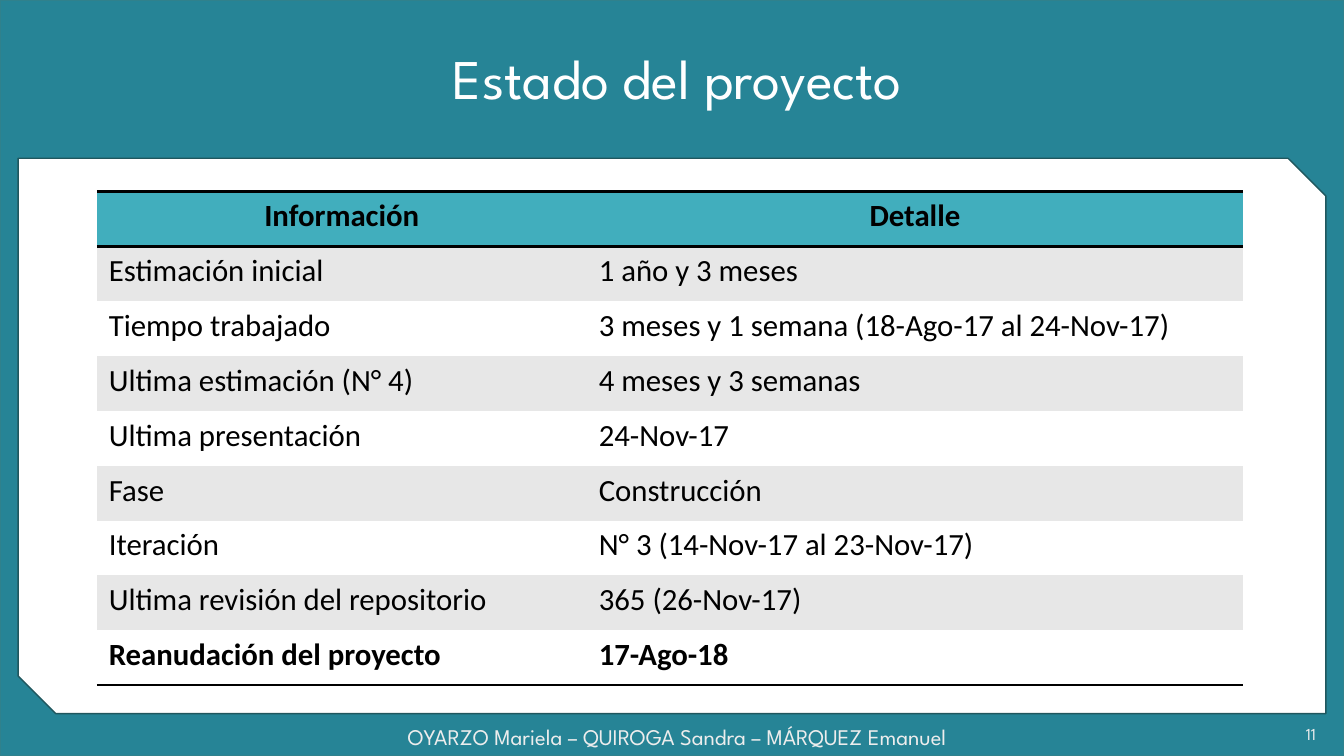
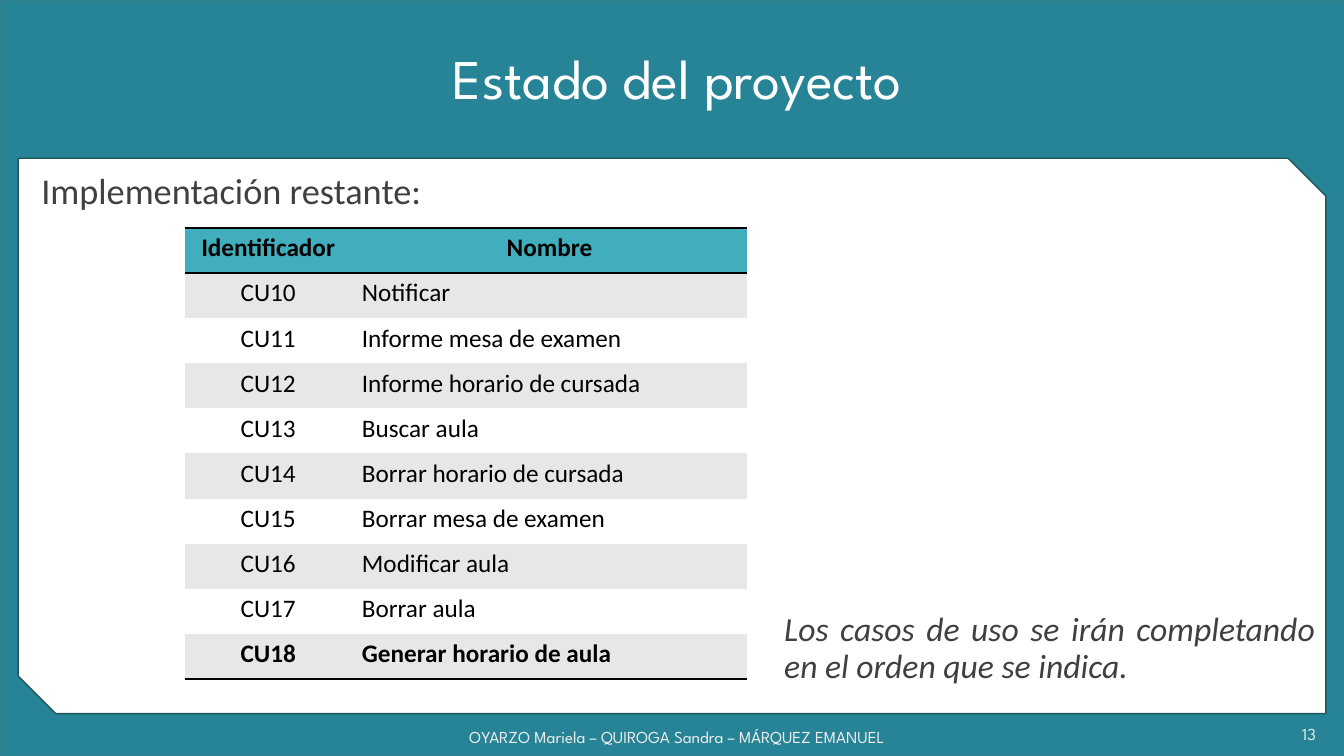
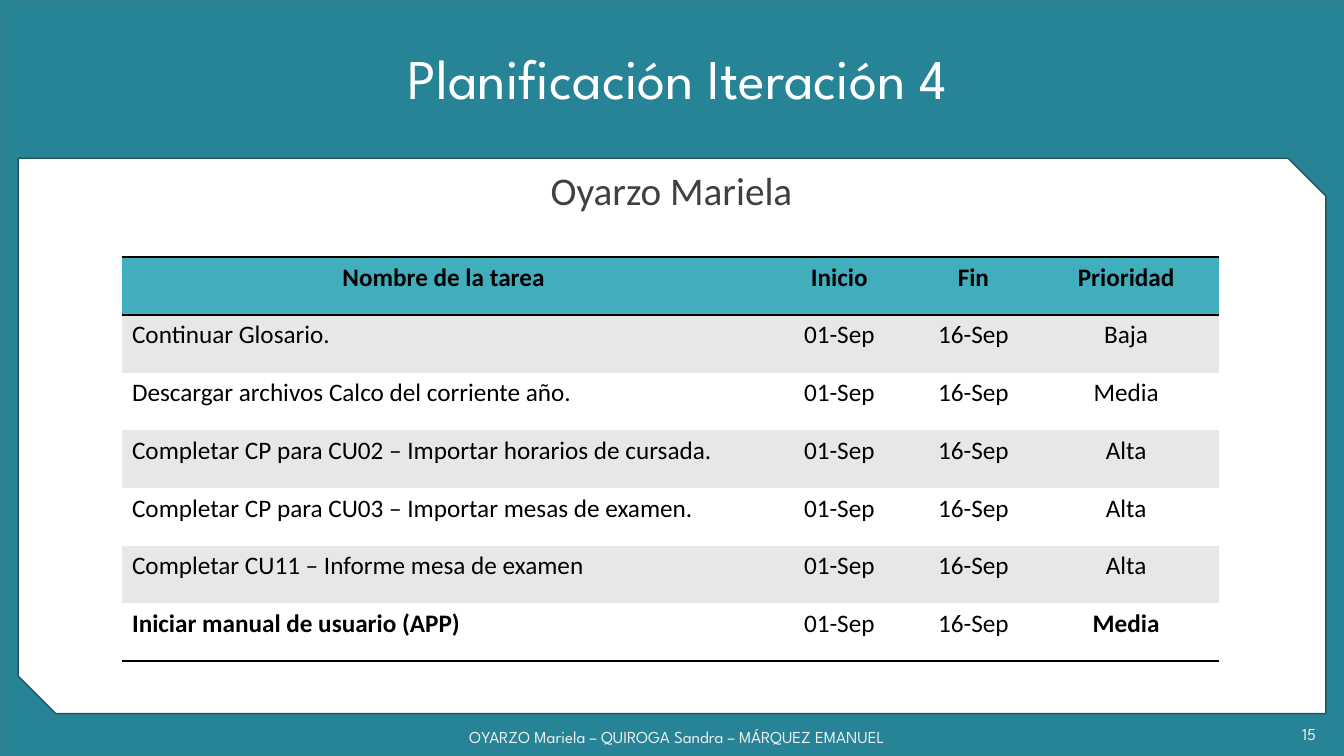
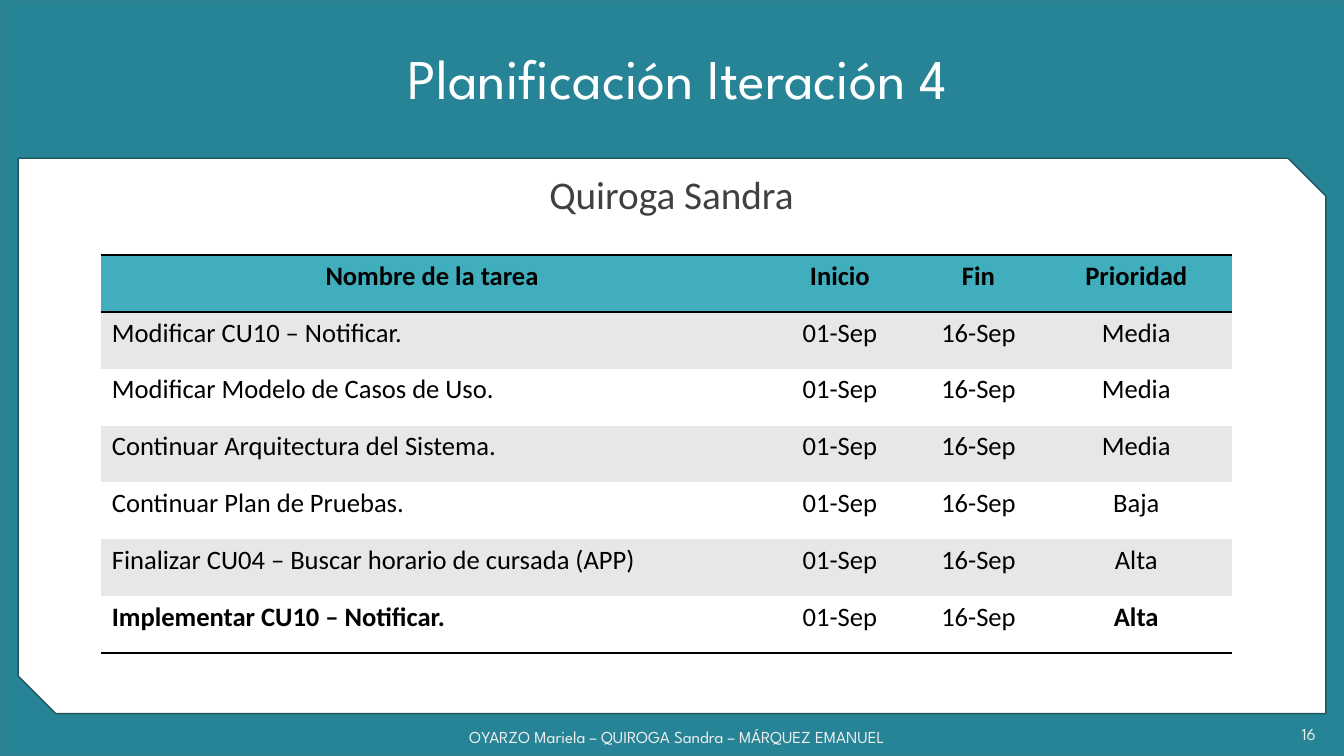
from lxml import etree
from pptx import Presentation
from pptx.dml.color import RGBColor
from pptx.enum.shapes import MSO_SHAPE
from pptx.enum.text import MSO_ANCHOR, MSO_AUTO_SIZE, PP_ALIGN
from pptx.oxml.ns import qn
from pptx.util import Inches, Pt

RECTANGLE = MSO_SHAPE.RECTANGLE
SNIPPED = MSO_SHAPE.SNIP_2_DIAG_RECTANGLE
TOP, MIDDLE = MSO_ANCHOR.TOP, MSO_ANCHOR.MIDDLE
NO_FIT = MSO_AUTO_SIZE.NONE
LEFT, CENTER = PP_ALIGN.LEFT, PP_ALIGN.CENTER
RIGHT, JUSTIFY = PP_ALIGN.RIGHT, PP_ALIGN.JUSTIFY
COLUMN_ALIGN = {"l": LEFT, "c": CENTER}

TEAL = RGBColor(0x26, 0x84, 0x96)
TEAL_EDGE = RGBColor(0x30, 0x81, 0x8C)
PANEL_EDGE = RGBColor(0x20, 0x57, 0x5E)
HEADER_TEAL = RGBColor(0x41, 0xAE, 0xBD)
BAND_GRAY = RGBColor(0xE7, 0xE7, 0xE7)
FOOTER_GRAY = RGBColor(0xED, 0xED, 0xED)
TEXT_GRAY = RGBColor(0x40, 0x40, 0x40)
WHITE = RGBColor(0xFF, 0xFF, 0xFF)
BLACK = RGBColor(0, 0, 0)

HEADING_FONT = "League Spartan"
BODY_FONT = "Calibri"
PLAIN_TABLE_STYLE = "{2D5ABB26-0587-4C30-8999-92F81FD0307C}"

STATUS_TITLE = "Estado del proyecto"
PLAN_TITLE = "Planificación Iteración 4"
AUTHORS = "OYARZO Mariela – QUIROGA Sandra – MÁRQUEZ EMANUEL"
DATES = ("01-Sep", "16-Sep")

STATUS_ROWS = [
    ("Información", "Detalle"),
    ("Estimación inicial", "1 año y 3 meses"),
    ("Tiempo trabajado", "3 meses y 1 semana (18-Ago-17 al 24-Nov-17)"),
    ("Ultima estimación (N° 4)", "4 meses y 3 semanas"),
    ("Ultima presentación", "24-Nov-17"),
    ("Fase", "Construcción"),
    ("Iteración", "N° 3 (14-Nov-17 al 23-Nov-17)"),
    ("Ultima revisión del repositorio", "365 (26-Nov-17)"),
    ("Reanudación del proyecto", "17-Ago-18"),
]
USE_CASE_ROWS = [
    ("Identificador", "Nombre"),
    ("CU10", "Notificar"),
    ("CU11", "Informe mesa de examen"),
    ("CU12", "Informe horario de cursada"),
    ("CU13", "Buscar aula"),
    ("CU14", "Borrar horario de cursada"),
    ("CU15", "Borrar mesa de examen"),
    ("CU16", "Modificar aula"),
    ("CU17", "Borrar aula"),
    ("CU18", "Generar horario de aula"),
]
MARIELA_TASKS = [
    ("Continuar Glosario.", "Baja"),
    ("Descargar archivos Calco del corriente año.", "Media"),
    ("Completar CP para CU02 – Importar horarios de cursada.", "Alta"),
    ("Completar CP para CU03 – Importar mesas de examen.", "Alta"),
    ("Completar CU11 – Informe mesa de examen", "Alta"),
    ("Iniciar manual de usuario (APP)", "Media"),
]
SANDRA_TASKS = [
    ("Modificar CU10 – Notificar.", "Media"),
    ("Modificar Modelo de Casos de Uso.", "Media"),
    ("Continuar Arquitectura del Sistema.", "Media"),
    ("Continuar Plan de Pruebas.", "Baja"),
    ("Finalizar CU04 – Buscar horario de cursada (APP)", "Alta"),
    ("Implementar CU10 – Notificar.", "Alta"),
]


def place(shape, left, top, width, height):
    shape.left, shape.top = Inches(left), Inches(top)
    shape.width, shape.height = Inches(width), Inches(height)


def write(frame, text, size, color, align, font=BODY_FONT, bold=False, italic=False):
    """Fill the first paragraph with one formatted run and return the paragraph."""
    para = frame.paragraphs[0]
    para.alignment = align
    span = para.add_run()
    span.text = text
    span.font.size = Pt(size)
    span.font.name = font
    span.font.color.rgb = color
    span.font.bold = bold
    span.font.italic = italic
    return para


def space(para, before, after=0):
    para.line_spacing = 0.9
    para.space_before, para.space_after = Pt(before), Pt(after)


def add_text(page, at, text, size, color, align, anchor=TOP, **style):
    box = page.shapes.add_textbox(*map(Inches, at))
    box.text_frame.word_wrap = True
    box.text_frame.vertical_anchor = anchor
    return write(box.text_frame, text, size, color, align, **style)


def add_layout_shape(page, layout, position, preset, at, fill, edge):
    """Draw a shape and hand it to the layout, so that every slide shows it."""
    shape = page.shapes.add_shape(preset, *map(Inches, at))
    shape.shadow.inherit = False
    shape.fill.solid()
    shape.fill.fore_color.rgb = fill
    shape.line.color.rgb = edge
    shape.line.width = Pt(1)
    layout.shapes.element.insert(position, shape.element)
    return shape


def prepare_layout(layout, page):
    add_layout_shape(page, layout, 2, RECTANGLE, (0, 0, 13.33, 7.5), TEAL, TEAL_EDGE)
    panel = add_layout_shape(page, layout, 3, SNIPPED, (0.18, 1.57, 12.97, 5.51),
                             WHITE, PANEL_EDGE)
    panel.adjustments[0] = 0
    panel.adjustments[1] = 0.068
    place(layout.placeholders[0], 2.68, 0.08, 8.08, 1.45)


def add_page(deck, title, number, authors=AUTHORS, footer_size=12):
    page = deck.slides.add_slide(deck.slide_layouts[1])
    frame = page.shapes.title.text_frame
    frame.auto_size = NO_FIT
    frame.vertical_anchor = MIDDLE
    space(write(frame, title, 40, WHITE, CENTER, HEADING_FONT), 0)
    add_text(page, (3.34, 7.11, 6.75, 0.4), authors, footer_size, FOOTER_GRAY, CENTER,
             MIDDLE, font=HEADING_FONT)
    add_text(page, (11.27, 7.08, 1.88, 0.39), number, 12, FOOTER_GRAY, RIGHT,
             MIDDLE, font=HEADING_FONT)
    return page


def fill_body(page, at, text, size, align, before, after=0):
    body = page.placeholders[1]
    place(body, *at)
    body.text_frame.auto_size = NO_FIT
    para = write(body.text_frame, text, size, TEXT_GRAY, align)
    space(para, before, after)
    properties = para._p.get_or_add_pPr()
    properties.set("marL", "0")
    properties.set("indent", "0")
    etree.SubElement(properties, qn("a:buNone"))


def add_rule(cell, side):
    """Draw a black border on one side ("T" or "B"); call before filling the cell."""
    properties = cell._tc.get_or_add_tcPr()
    line = etree.SubElement(properties, qn(f"a:ln{side}"), w=str(Pt(2)))
    fill = etree.SubElement(line, qn("a:solidFill"))
    etree.SubElement(fill, qn("a:srgbClr"), val=str(BLACK))


def add_banded_table(page, left, top, height, widths, rows, aligns, size,
                     margins=(0.1, 0.05), bold_columns=(0, 1)):
    """Header row, gray and white bands, and a last row with bold columns."""
    frame = page.shapes.add_table(len(rows), len(widths), Inches(left), Inches(top),
                                  Inches(sum(widths)), Inches(height))
    table = frame.table
    next(frame.element.iter(qn("a:tableStyleId"))).text = PLAIN_TABLE_STYLE
    for column, width in zip(table.columns, widths):
        column.width = Inches(width)
    last = len(rows) - 1
    for r, texts in enumerate(rows):
        table.rows[r].height = Inches(height / len(rows))
        band = HEADER_TEAL if r == 0 else BAND_GRAY if r % 2 else WHITE
        for c, text in enumerate(texts):
            cell = table.cell(r, c)
            cell.margin_left = cell.margin_right = Inches(margins[0])
            cell.margin_top = cell.margin_bottom = Inches(margins[1])
            if r == 0:
                add_rule(cell, "T")
            if r in (0, last):
                add_rule(cell, "B")
            cell.fill.solid()
            cell.fill.fore_color.rgb = band
            align = CENTER if r == 0 else COLUMN_ALIGN[aligns[c]]
            bold = r == 0 or (r == last and c in bold_columns)
            write(cell.text_frame, text, size, BLACK, align, bold=bold)


def add_task_page(deck, number, person, person_top, tasks, **table):
    page = add_page(deck, PLAN_TITLE, number)
    fill_body(page, (0.18, person_top, 12.96, 0.56), person, 28, CENTER, 12, 6)
    rows = [("Nombre de la tarea", "Inicio", "Fin", "Prioridad")]
    rows += [(task, *DATES, priority) for task, priority in tasks]
    add_banded_table(page, rows=rows, aligns="lccc", bold_columns=(0, 3), **table)


def main():
    deck = Presentation()
    deck.slide_width, deck.slide_height = Inches(13.33), Inches(7.5)

    page = add_page(deck, STATUS_TITLE, "11",
                    "OYARZO Mariela – QUIROGA Sandra – MÁRQUEZ Emanuel", 16)
    prepare_layout(deck.slide_layouts[1], page)
    body = page.placeholders[1].element
    body.getparent().remove(body)
    add_banded_table(page, 0.96, 1.9, 4.9, (4.86, 6.51), STATUS_ROWS, "ll", 22,
                     margins=(0.12, 0.06))

    page = add_page(deck, STATUS_TITLE, "13")
    fill_body(page, (0.31, 1.67, 4.31, 0.59), "Implementación restante:", 25.9, JUSTIFY, 10)
    add_banded_table(page, 1.83, 2.26, 4.48, (1.66, 3.92), USE_CASE_ROWS, "cl", 18)
    note = add_text(page, (7.68, 6.03, 5.46, 0.85),
                    "Los casos de uso se irán completando en el orden que se indica.",
                    24, TEXT_GRAY, JUSTIFY, italic=True)
    space(note, 10)

    add_task_page(deck, "15", "Oyarzo Mariela", 1.65, MARIELA_TASKS, left=1.21, top=2.55,
                  height=4.01, widths=(6.38, 1.47, 1.19, 1.84), size=18)
    add_task_page(deck, "16", "Quiroga Sandra", 1.69, SANDRA_TASKS, left=1, top=2.53,
                  height=3.95, widths=(6.57, 1.52, 1.23, 1.9), size=19,
                  margins=(0.11, 0.05))
    deck.save("out.pptx")


if __name__ == "__main__":
    main()
